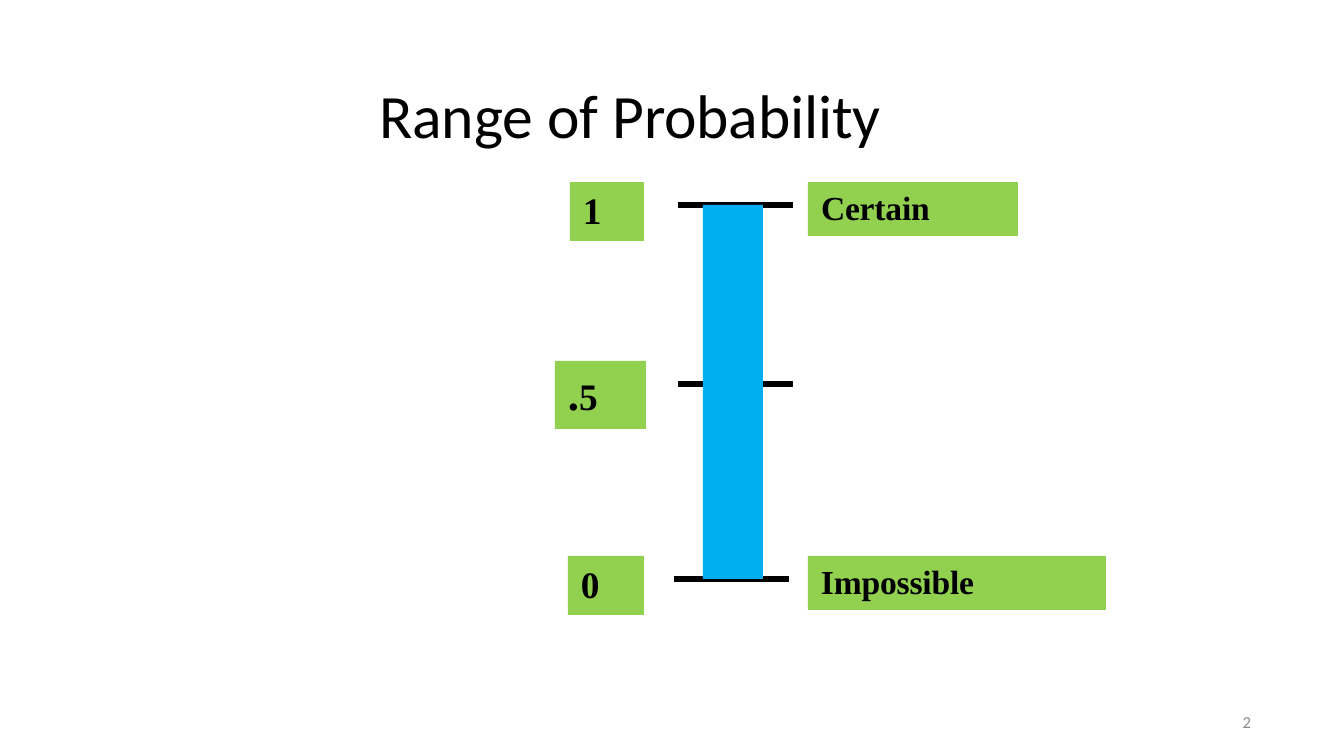
import pptx
import pptx.dml.color
import pptx.enum.shapes
import pptx.enum.text
import pptx.oxml
import pptx.util
import lxml.etree

SCALE = 914400 / 134.4  # EMU per px
COLORS = {"text": "000000", "number": "8C8C8C", "label": "92D050", "bar": "00AFEF"}
SERIF, SANS = "Times New Roman", "Calibri"

# Content: runs are (text, size, letter spacing in pt); boxes are left, top, width, height
TITLE = [("Range of ", 33, 0), ("Probability", 33, -0.1)]
TITLE_BOX = (93, 40, 1158, 147)
PAGE_NUMBER = [("2", 9, -0.2)]
PAGE_NUMBER_BOX = (949, 700, 302, 40)
LABELS = [
    ([("Certain", 18, -0.1)], (808, 182, 210, 54)),
    ([("Impossible", 18, -0.1)], (808, 556, 298, 54)),
    ([(".", 24, -0.2), ("5", 20, -0.2)], (555, 361, 91, 68)),
    ([("1", 20, -0.5)], (570, 182, 74, 59)),
    ([("0", 20, -0.5)], (568, 556, 76, 59)),
]
BAR = (703, 205, 60, 374)
TICKS = [(678, 793, 205), (674, 789, 579), (678, 703, 384), (763, 793, 384)]


def px(value):
    return pptx.util.Emu(round(value * SCALE))


def color(name):
    return pptx.dml.color.RGBColor.from_string(COLORS[name])


def write(shape, runs, font_name, color_name="text", bold=False, left=0, top=0, before=0):
    frame = shape.text_frame
    frame.word_wrap = True
    frame.margin_left, frame.margin_top = px(left), px(top)
    frame.margin_right = frame.margin_bottom = 0
    paragraph = frame.paragraphs[0]
    paragraph.alignment = pptx.enum.text.PP_ALIGN.LEFT
    paragraph.space_before = pptx.util.Pt(before)
    paragraph.font.name = font_name
    paragraph.font.bold = bold
    paragraph.font.color.rgb = color(color_name)
    for text, size, spacing in runs:
        run = paragraph.add_run()
        run.text = text
        run.font.size = pptx.util.Pt(size)
        run.font._element.set("spc", str(round(spacing * 100)))
    return frame


def add_rectangle(shapes, box, color_name):
    shape = shapes.add_shape(pptx.enum.shapes.MSO_SHAPE.RECTANGLE, *map(px, box))
    shape.shadow.inherit = False
    shape.fill.solid()
    shape.fill.fore_color.rgb = color(color_name)
    shape.line.fill.background()
    return shape


presentation = pptx.Presentation()
presentation.slide_width, presentation.slide_height = px(1344), px(756)
slide = presentation.slides.add_slide(presentation.slide_layouts[6])
shapes = slide.shapes

# Title and page number
title = write(shapes.add_textbox(*map(px, TITLE_BOX)), TITLE, SANS, left=286, top=1, before=0.9)
title.vertical_anchor = pptx.enum.text.MSO_ANCHOR.MIDDLE
number = write(shapes.add_textbox(*map(px, PAGE_NUMBER_BOX)), PAGE_NUMBER, SANS, "number")
number.vertical_anchor = pptx.enum.text.MSO_ANCHOR.MIDDLE
number.paragraphs[0].alignment = pptx.enum.text.PP_ALIGN.RIGHT
number.paragraphs[0].line_spacing = pptx.util.Pt(12.4)

# Scale values and their meanings
for runs, box in LABELS:
    label = write(add_rectangle(shapes, box, "label"), runs, SERIF, bold=True,
                  left=13, top=5, before=2.9)
    label.vertical_anchor = pptx.enum.text.MSO_ANCHOR.TOP

# Ticks behind the probability bar
scale_group = shapes.add_group_shape()
for start, end, y in TICKS:
    tick = scale_group.shapes.add_connector(
        pptx.enum.shapes.MSO_CONNECTOR.STRAIGHT, px(start), px(y), px(end), px(y))
    tick.line.color.rgb = color("text")
    tick.line.width = pptx.util.Pt(3)
    lxml.etree.SubElement(tick._element.spPr, pptx.oxml.ns.qn("a:effectLst"))
add_rectangle(scale_group.shapes, BAR, "bar")

presentation.save("out.pptx")
